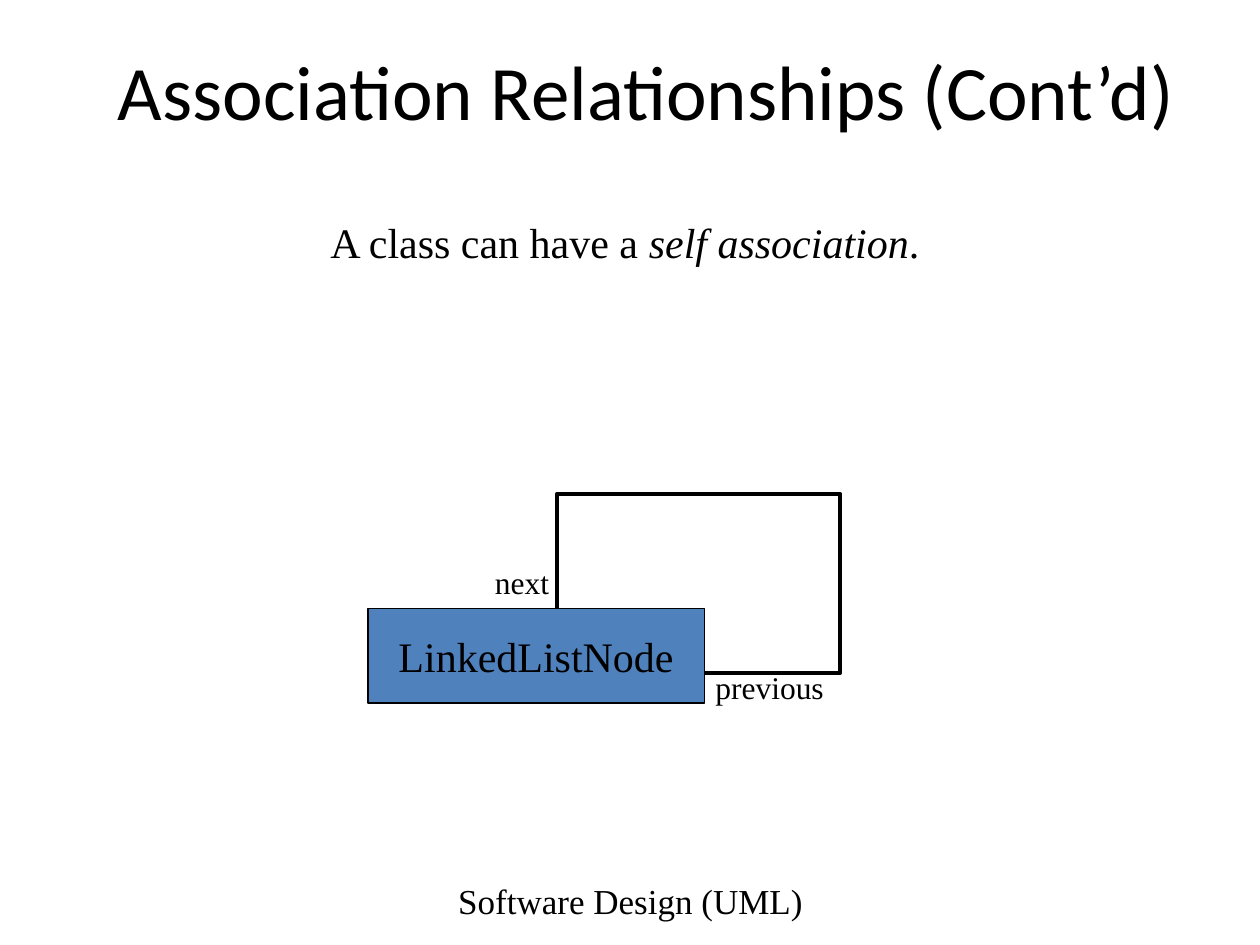
"""Build a slide on self association in UML class diagrams."""
import pptx
import pptx.util
import pptx.dml.color
import pptx.enum.shapes
import pptx.enum.text

Inches = pptx.util.Inches
Pt = pptx.util.Pt
ALIGN = pptx.enum.text.PP_ALIGN
ANCHOR = pptx.enum.text.MSO_ANCHOR
SERIF = "Times New Roman"
COLORS = {"ink": "000000", "paper": "FFFFFF", "node": "4F81BD"}


def color(name):
    return pptx.dml.color.RGBColor.from_string(COLORS[name])


def write(shape, runs, size, face=SERIF, align=ALIGN.CENTER, anchor=ANCHOR.MIDDLE, wrap=True):
    frame = shape.text_frame
    frame.word_wrap = wrap
    frame.vertical_anchor = anchor
    line = frame.paragraphs[0]
    line.alignment = align
    line.font.size = Pt(size)
    line.font.name = face
    line.font.color.rgb = color("ink")
    for text, slant in runs:
        run = line.add_run()
        run.text = text
        if slant:
            run.font.italic = True


deck = pptx.Presentation()
deck.slide_width = Inches(10)
deck.slide_height = Inches(7.5)
slide = deck.slides.add_slide(deck.slide_layouts[6])

foot = slide.shapes.add_textbox(Inches(3.42), Inches(6.95), Inches(3.17), Inches(0.4))
write(foot, [("Software Design (UML)", False)], 20)

title = slide.shapes.add_textbox(Inches(0.67), Inches(0.42), Inches(8.92), Inches(0.58))
write(title, [("Association Relationships (Cont’d)", False)], 44, "Calibri")

lead = slide.shapes.add_textbox(Inches(0.67), Inches(1.67), Inches(8.58), Inches(0.5))
write(lead, [("A class can have a ", False), ("self association", True), (".", False)],
      24, anchor=ANCHOR.TOP)

group = slide.shapes.add_group_shape()
rects = [
    (4.42, 3.92, 2.25, 1.42, "paper", 2.25),
    (2.92, 4.83, 2.67, 0.75, "node", 0.75),
]
for left, top, width, height, fill, weight in rects:
    node = group.shapes.add_shape(
        pptx.enum.shapes.MSO_SHAPE.RECTANGLE,
        Inches(left), Inches(top), Inches(width), Inches(height))
    node.shadow.inherit = False
    node.fill.solid()
    node.fill.fore_color.rgb = color(fill)
    node.line.color.rgb = color("ink")
    node.line.width = Pt(weight)
write(node, [("LinkedListNode", False)], 24, wrap=False)

roles = [("next", 3.83, 4.42, 0.67), ("previous", 5.58, 5.25, 1.17)]
for text, left, top, width in roles:
    role = group.shapes.add_textbox(Inches(left), Inches(top), Inches(width), Inches(0.4))
    write(role, [(text, False)], 18, align=ALIGN.LEFT, anchor=ANCHOR.TOP)

deck.save("out.pptx")
